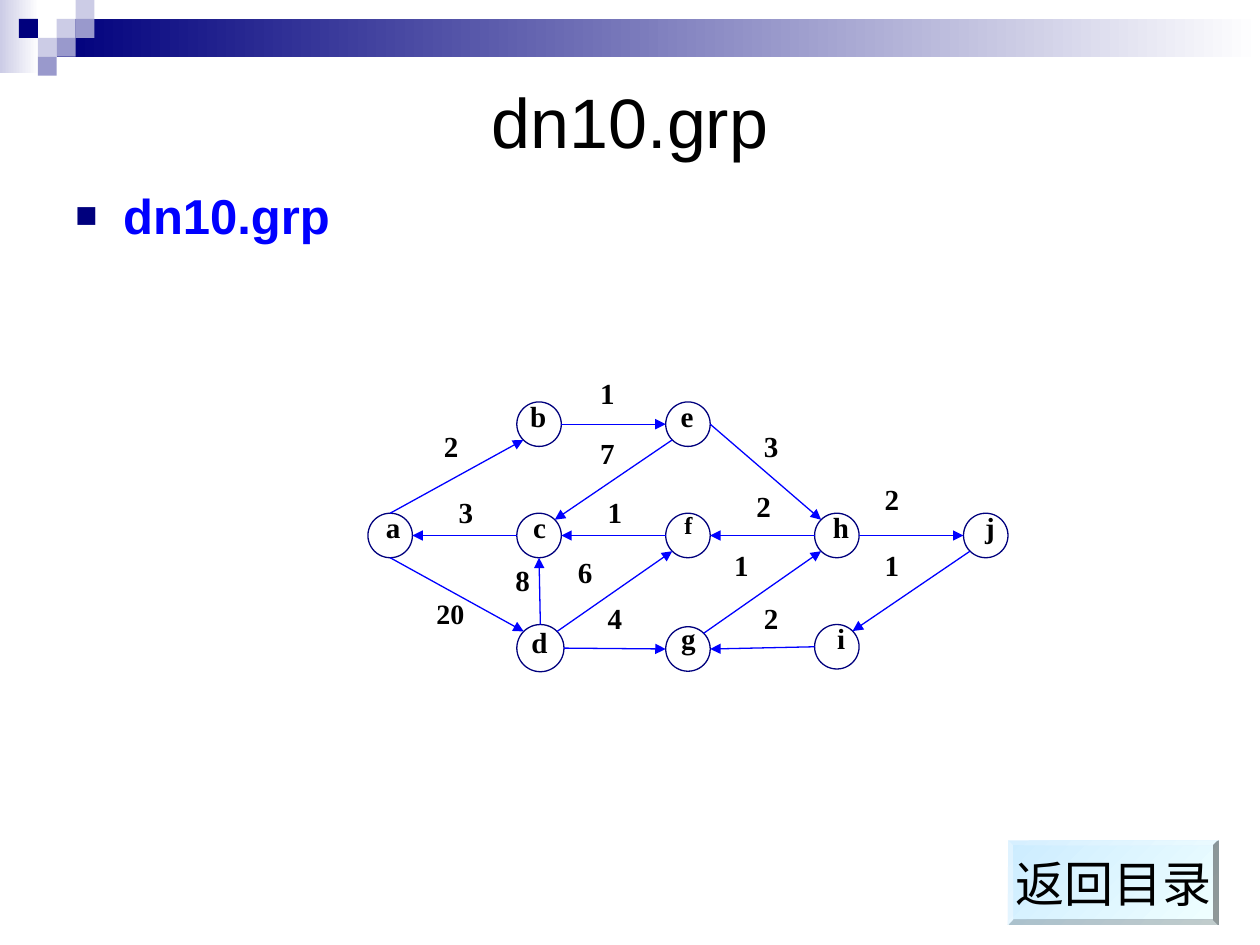
import math
from dataclasses import dataclass
from typing import NamedTuple

from pptx import Presentation
from pptx import util as u
from pptx.dml import color
from pptx.enum import shapes, text
from pptx.oxml import xmlchemy
from pptx.oxml import ns


@dataclass(frozen=True)
class Theme:
    navy: str = "00007D"
    violet: str = "9999CC"
    lilac: str = "CCCCE6"
    white: str = "FFFFFF"
    black: str = "000000"
    blue: str = "0000FF"
    sky: str = "CCECFF"
    ice: str = "F0FFFF"
    sans: str = "Arial"
    serif: str = "Times New Roman"
    title: float = 40
    body: float = 28
    label: float = 16.6
    wide_label: float = 16
    small_label: float = 13.9
    stroke: float = 0.75


class Box(NamedTuple):
    left: float
    top: float
    width: float
    height: float

    def inches(self):
        return [u.Inches(length) for length in self]


THEME = Theme()
WIDTH, HEIGHT = 10, 7.5
COLUMNS, ROWS = 100, 75

NODES = {
    "a": (0, 1, 0.08, 0), "b": (1, 0, 0.05, 0), "c": (1, 1, 0.06, 0),
    "d": (1, 2, 0.06, 0.03), "e": (2, 0, 0.05, 0), "f": (2, 1, 0.06, 0.02),
    "g": (2, 2.02, 0.06, -0.02), "h": (3, 1, 0.09, 0), "i": (3, 2, 0.09, 0),
    "j": (4, 1, 0.09, 0),
}
NODE_SCALE = {"d": 1.06}
SITES = {"right": 0, "lower right": 45, "bottom": 90, "lower left": 135,
         "left": 180, "upper left": 225, "top": 270, "upper right": 315}
EDGES = [
    ("a", "top", "b", "lower left", "2", 0.51, 0.27),
    ("a", "bottom", "d", "upper left", "20", 0.46, 1.75),
    ("b", "right", "e", "left", "1", 1.56, -0.2),
    ("c", "left", "a", "right", "3", 0.61, 0.87),
    ("d", "top", "c", "bottom", "8", 0.99, 1.48),
    ("d", "upper right", "f", "lower left", "6", 1.41, 1.41),
    ("d", "right", "g", "left", "4", 1.61, 1.82),
    ("e", "lower left", "c", "upper right", "7", 1.56, 0.34),
    ("e", "right", "h", "upper left", "3", 2.66, 0.27),
    ("f", "left", "c", "right", "1", 1.61, 0.87),
    ("g", "upper right", "h", "lower left", "1", 2.46, 1.34),
    ("h", "left", "f", "right", "2", 2.61, 0.81),
    ("h", "right", "j", "left", "2", 3.47, 0.75),
    ("i", "left", "g", "right", "2", 2.66, 1.82),
    ("j", "lower left", "i", "upper right", "1", 3.47, 1.34),
]


def grid_box(column, row, columns, rows):
    return Box(column * WIDTH / COLUMNS, row * HEIGHT / ROWS,
               columns * WIDTH / COLUMNS, rows * HEIGHT / ROWS)


def rgb(value):
    return color.RGBColor.from_string(value)


def write_text(shape, content, size, font=THEME.sans, ink=THEME.black, bold=False,
               align=text.PP_ALIGN.CENTER, anchor=text.MSO_ANCHOR.TOP,
               inset=(0.1, 0.05), spacing=None, wrap=True):
    frame = shape.text_frame
    frame.word_wrap = wrap
    frame.vertical_anchor = anchor
    frame.margin_left = frame.margin_right = u.Inches(inset[0])
    frame.margin_top = frame.margin_bottom = u.Inches(inset[1])
    paragraph = frame.paragraphs[0]
    paragraph.alignment = align
    paragraph.line_spacing = spacing
    run = paragraph.add_run()
    run.text = content
    run.font.name, run.font.size, run.font.bold = font, u.Pt(size), bold
    run.font.color.rgb = rgb(ink)
    return paragraph


def add_text(slide, box, content, size, **style):
    return write_text(slide.shapes.add_textbox(*box.inches()), content, size, **style)


def add_filled(slide, kind, box, *fills, angle=0, outline=None):
    shape = slide.shapes.add_shape(kind, *box.inches())
    shape.shadow.inherit = False
    if len(fills) == 1:
        shape.fill.solid()
        shape.fill.fore_color.rgb = rgb(fills[0])
    else:
        shape.fill.gradient()
        shape.fill.gradient_angle = angle
        for stop, value, position in zip(shape.fill.gradient_stops, fills, (0, 1)):
            stop.color.rgb = rgb(value)
            stop.position = position
    if outline:
        shape.line.color.rgb = rgb(outline)
        shape.line.width = u.Pt(THEME.stroke)
    else:
        shape.line.fill.background()
    return shape


def add_child(parent, tag, **attributes):
    child = xmlchemy.OxmlElement(tag)
    for name, value in attributes.items():
        child.set(name, value)
    parent.append(child)
    return child


def add_arrow(slide, start, end):
    arrow = slide.shapes.add_connector(
        shapes.MSO_CONNECTOR.STRAIGHT, *[u.Inches(length) for length in (*start, *end)])
    arrow.line.color.rgb = rgb(THEME.blue)
    arrow.line.width = u.Pt(THEME.stroke)
    properties = arrow.element.find(ns.qn("p:spPr"))
    add_child(properties.find(ns.qn("a:ln")), "a:tailEnd", type="triangle")
    add_child(properties, "a:effectLst")


def header(slide, box):
    rectangle = shapes.MSO_SHAPE.RECTANGLE
    cell = box.height / 4
    add_filled(slide, rectangle, Box(box.left, box.top, 0.31, 0.58),
               THEME.lilac, THEME.white)
    add_filled(slide, rectangle,
               Box(box.left + 3 * cell, box.top + cell, box.width - 3 * cell, 2 * cell),
               THEME.navy, THEME.white)
    for column, row, fill in [
        (3, 1, THEME.lilac), (4, 0, THEME.lilac), (4, 1, THEME.violet),
        (2, 2, THEME.lilac), (1, 1, THEME.navy), (3, 2, THEME.violet),
        (2, 3, THEME.violet),
    ]:
        add_filled(slide, rectangle,
                   Box(box.left + column * cell, box.top + row * cell, cell, cell), fill)


def body(slide, box, content):
    paragraph = add_text(slide, box, content, THEME.body, ink=THEME.blue, bold=True,
                         align=text.PP_ALIGN.LEFT)
    paragraph.space_before = u.Pt(7)
    properties = paragraph._p.get_or_add_pPr()
    properties.set("marL", str(u.Inches(0.38)))
    properties.set("indent", str(u.Inches(-0.38)))
    add_child(add_child(properties, "a:buClr"), "a:srgbClr", val=THEME.navy)
    add_child(properties, "a:buSzPct", val="75000")
    add_child(properties, "a:buFont", typeface=THEME.sans)
    add_child(properties, "a:buChar", char="■")


def graph(slide, box):
    diameter = box.height / 6
    column_step = (box.width - diameter) / 4
    row_step = (box.height - diameter) / 2
    label_style = dict(font=THEME.serif, bold=True, inset=(0, 0))

    def place(column, row):
        return box.left + column * column_step, box.top + row * row_step

    def site(name, side):
        left, top = place(*NODES[name][:2])
        radius = diameter * NODE_SCALE.get(name, 1) / 2
        angle = math.radians(SITES[side])
        return (left + radius * (1 + math.cos(angle)),
                top + radius * (1 + math.sin(angle)))

    for name, (column, row, shift_x, shift_y) in NODES.items():
        left, top = place(column, row)
        size = diameter * NODE_SCALE.get(name, 1)
        add_filled(slide, shapes.MSO_SHAPE.OVAL, Box(left, top, size, size),
                   THEME.white, outline=THEME.navy)
        small = name == "f"
        add_text(slide, Box(left + shift_x, top + shift_y, 0.24, 0.29), name,
                 THEME.small_label if small else THEME.label,
                 spacing=0.8 if small else 0.9, **label_style)

    for source, source_side, target, target_side, weight, column, row in EDGES:
        add_arrow(slide, site(source, source_side), site(target, target_side))
        wide = len(weight) > 1
        add_text(slide, Box(*place(column, row), 0.24, 0.3), weight,
                 THEME.wide_label if wide else THEME.label,
                 align=text.PP_ALIGN.JUSTIFY, spacing=1.0 if wide else 0.9, **label_style)


def return_button(slide, box, content):
    button = add_filled(slide, shapes.MSO_SHAPE.BEVEL, box, THEME.sky, THEME.ice, angle=315)
    button.adjustments[0] = 0.06
    write_text(button, content, THEME.body, anchor=text.MSO_ANCHOR.MIDDLE, wrap=False)


def main():
    presentation = Presentation()
    presentation.slide_width, presentation.slide_height = u.Inches(WIDTH), u.Inches(HEIGHT)
    slide = presentation.slides.add_slide(presentation.slide_layouts[6])
    header(slide, grid_box(0, 0, 100, 6))
    add_text(slide, grid_box(5, 5, 90, 9.2), "dn10.grp", THEME.title,
             anchor=text.MSO_ANCHOR.MIDDLE)
    body(slide, grid_box(5, 14.2, 90, 53.3), "dn10.grp")
    graph(slide, grid_box(29.2, 31.9, 50.8, 21.2))
    return_button(slide, grid_box(80, 66.7, 16.7, 6.7), "返回目录")
    presentation.save("out.pptx")


if __name__ == "__main__":
    main()
